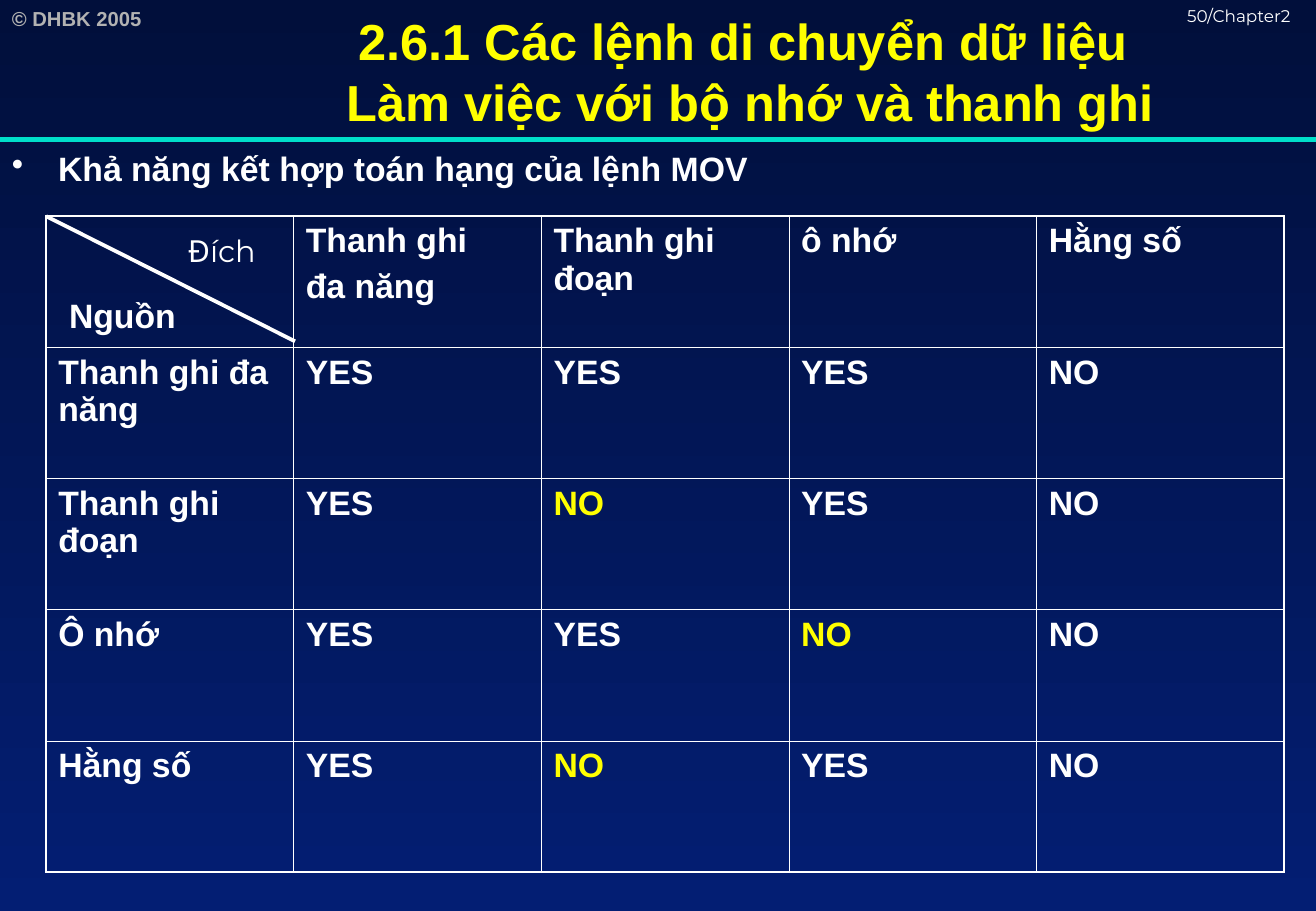
from lxml import etree
from pptx import Presentation
from pptx.dml.color import RGBColor
from pptx.enum.shapes import MSO_CONNECTOR
from pptx.enum.text import MSO_ANCHOR, PP_ALIGN
from pptx.oxml import parse_xml
from pptx.oxml.ns import nsdecls, qn
from pptx.util import Pt

PX = 9144  # 100 px to the inch
COLORS = {
    "top": "010F3B",
    "base": "031E73",
    "rule": "00DFCA",
    "gray": "B2B2B2",
    "white": "FFFFFF",
    "yellow": "FFFF00",
}
ROWS = [
    ["", "Thanh ghi\nđa năng", "Thanh ghi đoạn", "ô nhớ", "Hằng số"],
    ["Thanh ghi đa năng", "YES", "YES", "YES", "NO"],
    ["Thanh ghi đoạn", "YES", "NO", "YES", "NO"],
    ["Ô nhớ", "YES", "YES", "NO", "NO"],
    ["Hằng số", "YES", "NO", "YES", "NO"],
]
MARKED = {(2, 2), (3, 3), (4, 2)}
THIN, THICK = 0.45, 1.08


def color(name):
    return RGBColor.from_string(COLORS[name])


def style(run, size, tint="white", face="Arial", bold=True):
    font = run.font
    font.size, font.name, font.bold = Pt(size), face, bold
    font.color.rgb = color(tint)


def add_text(slide, box, text, size, wrap=True, **look):
    shape = slide.shapes.add_textbox(*(n * PX for n in box))
    frame = shape.text_frame
    frame.word_wrap = wrap
    frame.text = text
    for run in frame.paragraphs[0].runs:
        style(run, size, **look)
    return frame


def add_line(slide, ends, tint, width):
    line = slide.shapes.add_connector(
        MSO_CONNECTOR.STRAIGHT, *(n * PX for n in ends))
    line.line.color.rgb = color(tint)
    line.line.width = Pt(width)
    props = line._element.spPr
    etree.SubElement(props, qn("a:effectLst"))


def add_bullet(para, indent):
    props = para._p.get_or_add_pPr()
    props.set("marL", str(indent * PX))
    props.set("indent", str(-indent * PX))
    etree.SubElement(props, qn("a:buChar"), char="•")


def set_edges(cell, row, col):
    """Draw thick lines on the rim of the table and thin ones inside."""
    last = len(ROWS) - 1
    rims = {"L": col == 0, "R": col == last, "T": row == 0, "B": row == last}
    props = cell._tc.get_or_add_tcPr()
    for place, (side, rim) in enumerate(rims.items()):
        width = Pt(THICK if rim else THIN)
        props.insert(place, parse_xml(
            f'<a:ln{side} {nsdecls("a")} w="{width}"><a:solidFill>'
            f'<a:srgbClr val="{COLORS["white"]}"/></a:solidFill></a:ln{side}>'))


def fill_cell(cell, text, tint):
    cell.fill.background()
    cell.text_frame.text = text
    for place, para in enumerate(cell.text_frame.paragraphs):
        para.font.size = Pt(20)
        if place:
            para.space_before = Pt(5)
        for run in para.runs:
            style(run, 20, tint)


def add_grid(slide, left, top, width, height):
    count = len(ROWS)
    frame = slide.shapes.add_table(
        count, count, left * PX, top * PX, width * PX, height * PX)
    table = frame.table
    table.first_row = table.horz_banding = False
    for row, texts in enumerate(ROWS):
        for col, text in enumerate(texts):
            cell = table.cell(row, col)
            tint = "yellow" if (row, col) in MARKED else "white"
            fill_cell(cell, text, tint)
            set_edges(cell, row, col)


def paint_back(slide):
    fill = slide.background.fill
    fill.gradient()
    fill.gradient_angle = 270
    for stop, name in zip(fill.gradient_stops, ("top", "base")):
        stop.color.rgb = color(name)


def main():
    deck = Presentation()
    deck.slide_width, deck.slide_height = 1084 * PX, 750 * PX
    slide = deck.slides.add_slide(deck.slide_layouts[6])
    paint_back(slide)

    add_text(slide, (0, 0, 157, 30), "© DHBK 2005", 12, tint="gray")
    add_line(slide, (0, 115, 1084, 115), "rule", 3)
    add_text(slide, (968, 0, 116, 25), "50/Chapter2", 10,
             face="Montserrat", bold=False)
    title = add_text(
        slide, (141, 0, 943, 117),
        "2.6.1 Các lệnh di chuyển dữ liệu\v Làm việc với bộ nhớ và thanh ghi",
        30, tint="yellow")
    title.vertical_anchor = MSO_ANCHOR.MIDDLE
    title.paragraphs[0].alignment = PP_ALIGN.CENTER
    body = add_text(slide, (0, 117, 1084, 50),
                    "Khả năng kết hợp toán hạng của lệnh MOV", 20)
    add_bullet(body.paragraphs[0], 38)

    add_grid(slide, 38, 178, 1020, 540)
    target = add_text(slide, (145, 186, 80, 40), "Đ", 18, wrap=False,
                      face="Noto Sans", bold=False)
    rest = target.paragraphs[0].add_run()
    rest.text = "ích"
    style(rest, 18, face="Montserrat", bold=False)
    add_text(slide, (47, 238, 108, 44), "Nguồn", 20, wrap=False)
    add_line(slide, (38, 178, 243, 281), "white", 2.25)
    deck.save("out.pptx")


if __name__ == "__main__":
    main()
